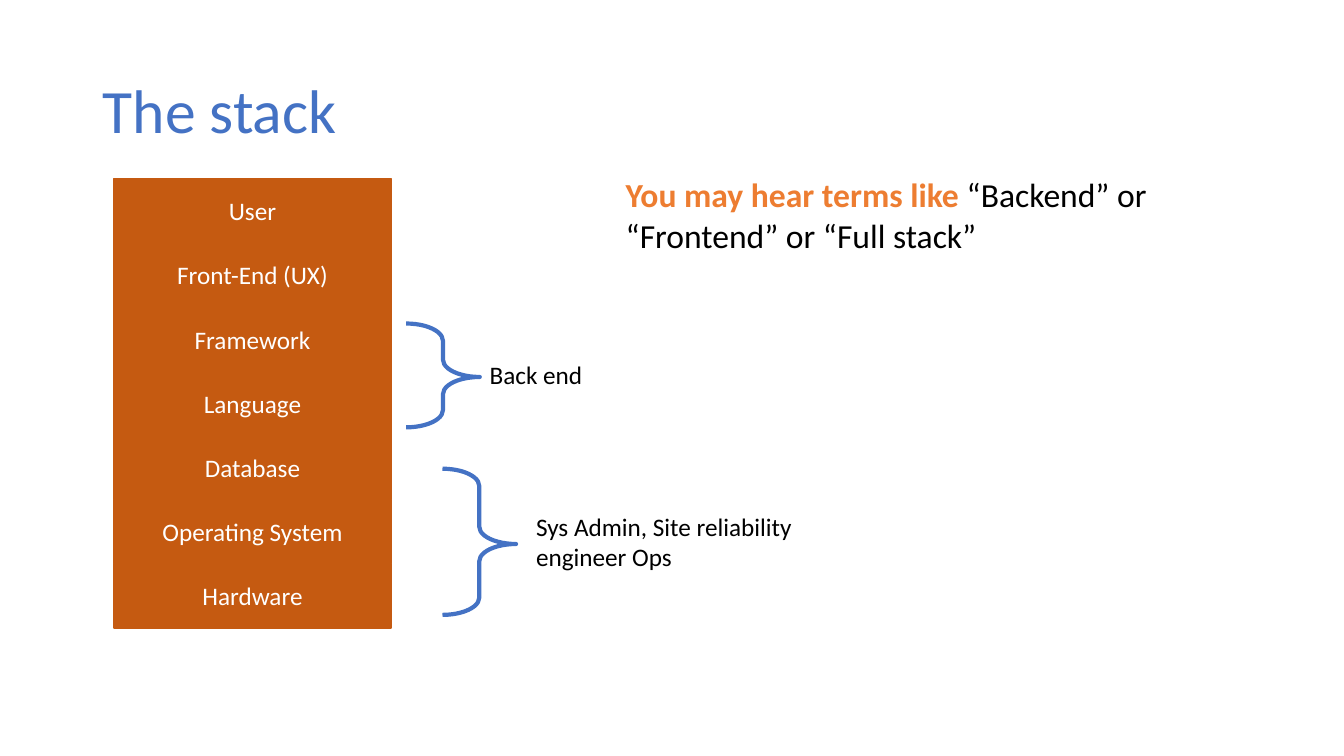
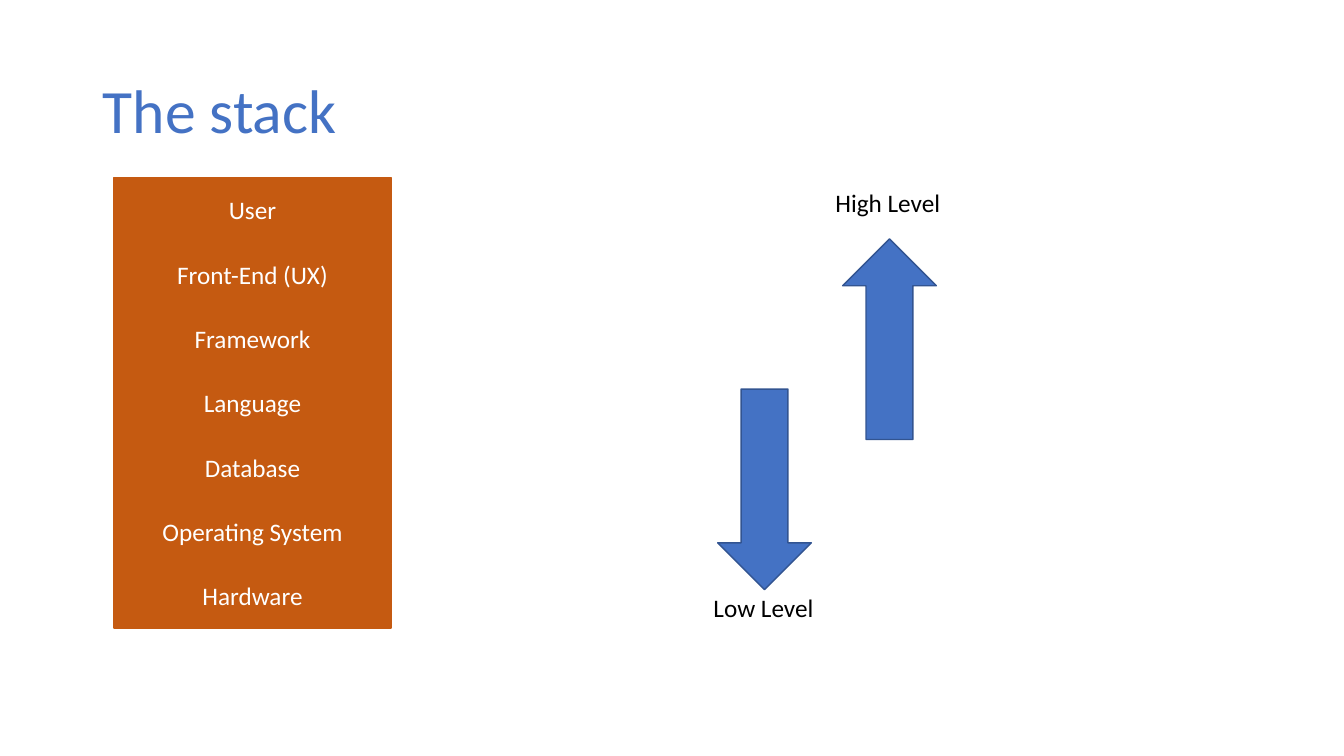
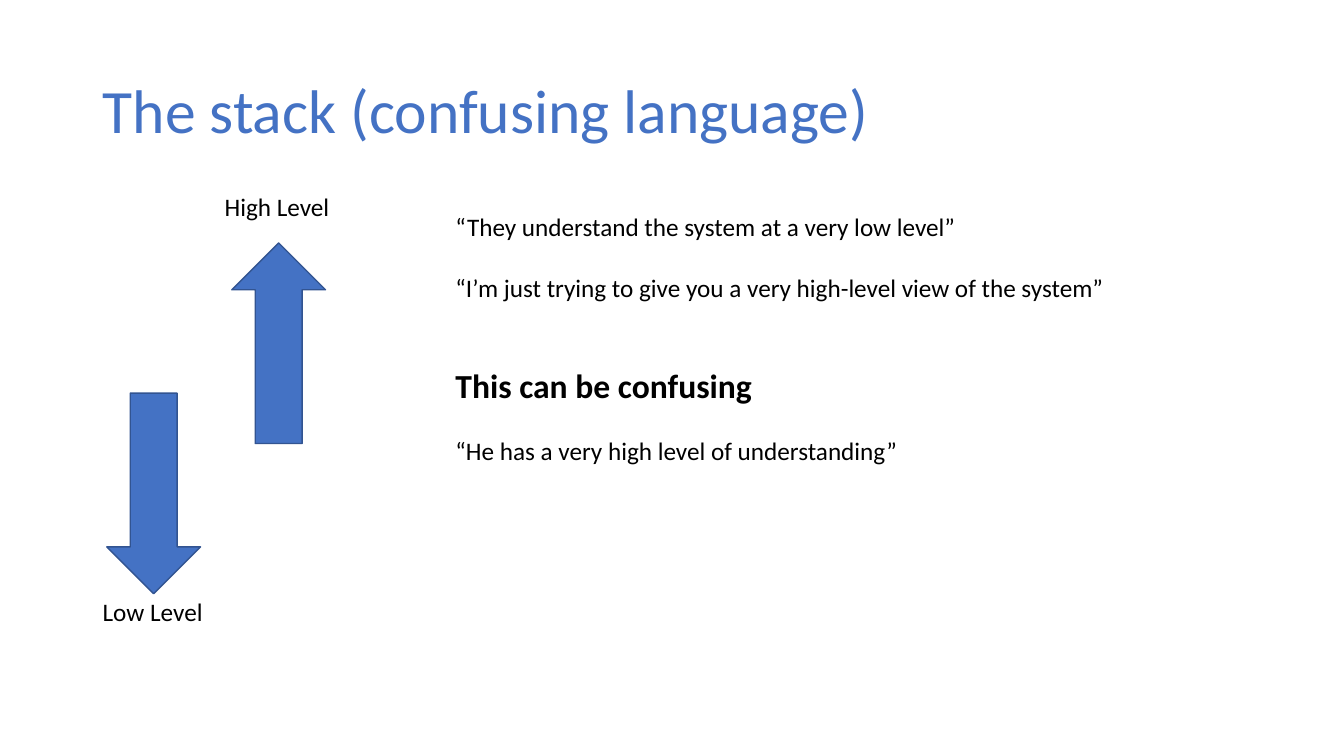
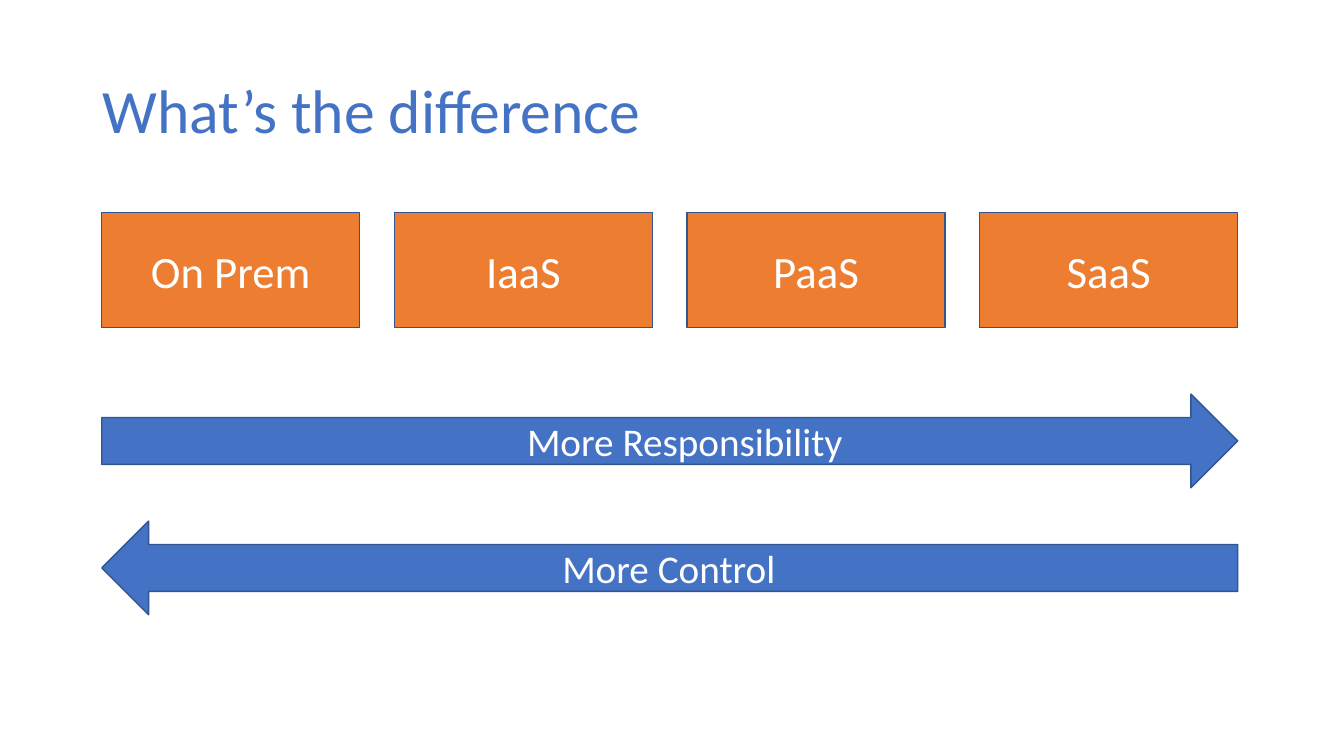
from dataclasses import dataclass

from pptx import Presentation
from pptx.dml.color import RGBColor
from pptx.enum.shapes import MSO_SHAPE
from pptx.enum.text import MSO_ANCHOR, MSO_AUTO_SIZE, PP_ALIGN
from pptx.util import Emu, Pt


@dataclass(frozen=True)
class Theme:
    font: str = "Calibri"
    blue: str = "4472C4"
    outline: str = "325491"
    orange: str = "ED7D31"
    rust: str = "C55A11"
    white: str = "FFFFFF"
    black: str = "000000"
    title: int = 44
    card: int = 32
    banner: int = 28
    lead: int = 24
    body: int = 18


@dataclass(frozen=True)
class Box:
    left: int
    top: int
    width: int
    height: int

    def inner(self, left, top, width, height):
        """A box given relative to this one."""
        return Box(self.left + left, self.top + top, width, height)

    def emu(self):
        return [px(n) for n in (self.left, self.top, self.width, self.height)]


THEME = Theme()
PX_PER_INCH = 100
TITLE_BOX = Box(92, 40, 1150, 145)
LAYERS = ("User", "Front-End (UX)", "Framework", "Language",
          "Database", "Operating System", "Hardware")


def px(length):
    return Emu(round(length * 914400 / PX_PER_INCH))


# Shared parts
def write(para, text, *, size=THEME.body, color=THEME.black, bold=False,
          align=PP_ALIGN.LEFT, before=0):
    para.alignment = align
    para.space_before = Pt(before)
    span = para.add_run()
    span.text = text
    span.font.name = THEME.font
    span.font.size = Pt(size)
    span.font.bold = bold
    span.font.color.rgb = RGBColor.from_string(color)


def add_page(deck, title):
    page = deck.slides.add_slide(deck.slide_layouts.get_by_name("Title Only"))
    holder = page.shapes.title
    holder.left, holder.top, holder.width, holder.height = TITLE_BOX.emu()
    frame = holder.text_frame
    frame.auto_size = MSO_AUTO_SIZE.NONE
    frame.vertical_anchor = MSO_ANCHOR.MIDDLE
    para = frame.paragraphs[0]
    para.line_spacing = 0.9
    write(para, title, size=THEME.title, color=THEME.blue)
    return page


def add_text(page, box, text="", wrap=True, **style):
    frame = page.shapes.add_textbox(*box.emu()).text_frame
    frame.word_wrap = wrap
    if text:
        write(frame.paragraphs[0], text, **style)
    return frame


def add_figure(page, kind, box, fill=None, line=THEME.outline, weight=1):
    figure = page.shapes.add_shape(kind, *box.emu())
    figure.shadow.inherit = False
    if fill:
        figure.fill.solid()
        figure.fill.fore_color.rgb = RGBColor.from_string(fill)
    else:
        figure.fill.background()
    figure.line.color.rgb = RGBColor.from_string(line)
    figure.line.width = Pt(weight)
    return figure


def add_label_box(page, box, text, size, fill, line):
    frame = add_figure(page, MSO_SHAPE.RECTANGLE, box, fill, line).text_frame
    frame.word_wrap = True
    frame.vertical_anchor = MSO_ANCHOR.MIDDLE
    write(frame.paragraphs[0], text, size=size, color=THEME.white,
          align=PP_ALIGN.CENTER)


# Regions
def draw_stack(page, box, row_height=64):
    step = (box.height - row_height) / (len(LAYERS) - 1)
    for index, layer in enumerate(LAYERS):
        row = box.inner(0, index * step, box.width, row_height)
        add_label_box(page, row, layer, THEME.body, THEME.rust, THEME.rust)


def draw_brace(page, box, text, label):
    """A right brace filling the box; label is relative to the box."""
    brace = add_figure(page, MSO_SHAPE.RIGHT_BRACE, box, line=THEME.blue, weight=3)
    brace.adjustments[0] = 0.235
    brace.adjustments[1] = 0.515
    add_text(page, box.inner(*label), text)


def draw_levels(page, box):
    for kind, arrow, text, label in (
        (MSO_SHAPE.DOWN_ARROW, (14, 205), "Low Level", (0, 402, 121, 40)),
        (MSO_SHAPE.UP_ARROW, (138, 56), "High Level", (121, 0, 126, 40)),
    ):
        add_figure(page, kind, box.inner(*arrow, 93, 199), THEME.blue)
        add_text(page, box.inner(*label), text, wrap=False)


def draw_quotes(page, box):
    line = 22  # height of one body line in points
    quotes = (
        ("“They understand the system at a very low level”", {}),
        ("“I’m just trying to give you a very high-level view of the system”",
         {"before": line}),
        ("This can be confusing",
         {"before": 2 * line, "size": THEME.lead, "bold": True}),
        ("“He has a very high level of understanding”", {"before": line}),
    )
    frame = add_text(page, box)
    for index, (text, style) in enumerate(quotes):
        para = frame.add_paragraph() if index else frame.paragraphs[0]
        write(para, text, **style)


def draw_cards(page, box, names, card_width=256):
    step = (box.width - card_width) / (len(names) - 1)
    for index, name in enumerate(names):
        card = box.inner(index * step, 0, card_width, box.height)
        add_label_box(page, card, name, THEME.card, THEME.orange, THEME.outline)


def draw_banner(page, box, kind, text, label):
    add_figure(page, kind, box, THEME.blue)
    add_text(page, box.inner(*label), text, wrap=False, size=THEME.banner,
             color=THEME.white)


# Slides
def build_roles(deck):
    page = add_page(deck, "The stack")
    draw_stack(page, Box(113, 177, 275, 446))
    draw_brace(page, Box(439, 465, 73, 145),
               "Sys Admin, Site reliability engineer Ops", (83, 37, 320, 71))
    draw_brace(page, Box(403, 321, 73, 103), "Back end", (73, 31, 320, 40))
    terms = add_text(page, Box(611, 168, 666, 91), "You may hear terms like ",
                     size=THEME.lead, color=THEME.orange, bold=True)
    write(terms.paragraphs[0], "“Backend” or “Frontend” or “Full stack”",
          size=THEME.lead)


def build_levels(deck):
    page = add_page(deck, "The stack")
    draw_stack(page, Box(113, 176, 275, 447))
    draw_levels(page, Box(698, 181, 247, 442))


def build_language(deck):
    page = add_page(deck, "The stack (confusing language)")
    draw_levels(page, Box(92, 185, 247, 442))
    draw_quotes(page, Box(442, 205, 755, 263))


def build_difference(deck):
    page = add_page(deck, "What’s the difference")
    draw_cards(page, Box(101, 211, 1127, 114), ("On Prem", "IaaS", "PaaS", "SaaS"))
    draw_banner(page, Box(101, 391, 1127, 93), MSO_SHAPE.RIGHT_ARROW,
                "More Responsibility", (412, 18, 345, 57))
    draw_banner(page, Box(101, 517, 1127, 93), MSO_SHAPE.LEFT_ARROW,
                "More Control", (447, 18, 234, 57))


def main():
    deck = Presentation()
    deck.slide_width = px(1333.33)
    deck.slide_height = px(750)
    for build in (build_roles, build_levels, build_language, build_difference):
        build(deck)
    deck.save("out.pptx")


if __name__ == "__main__":
    main()
